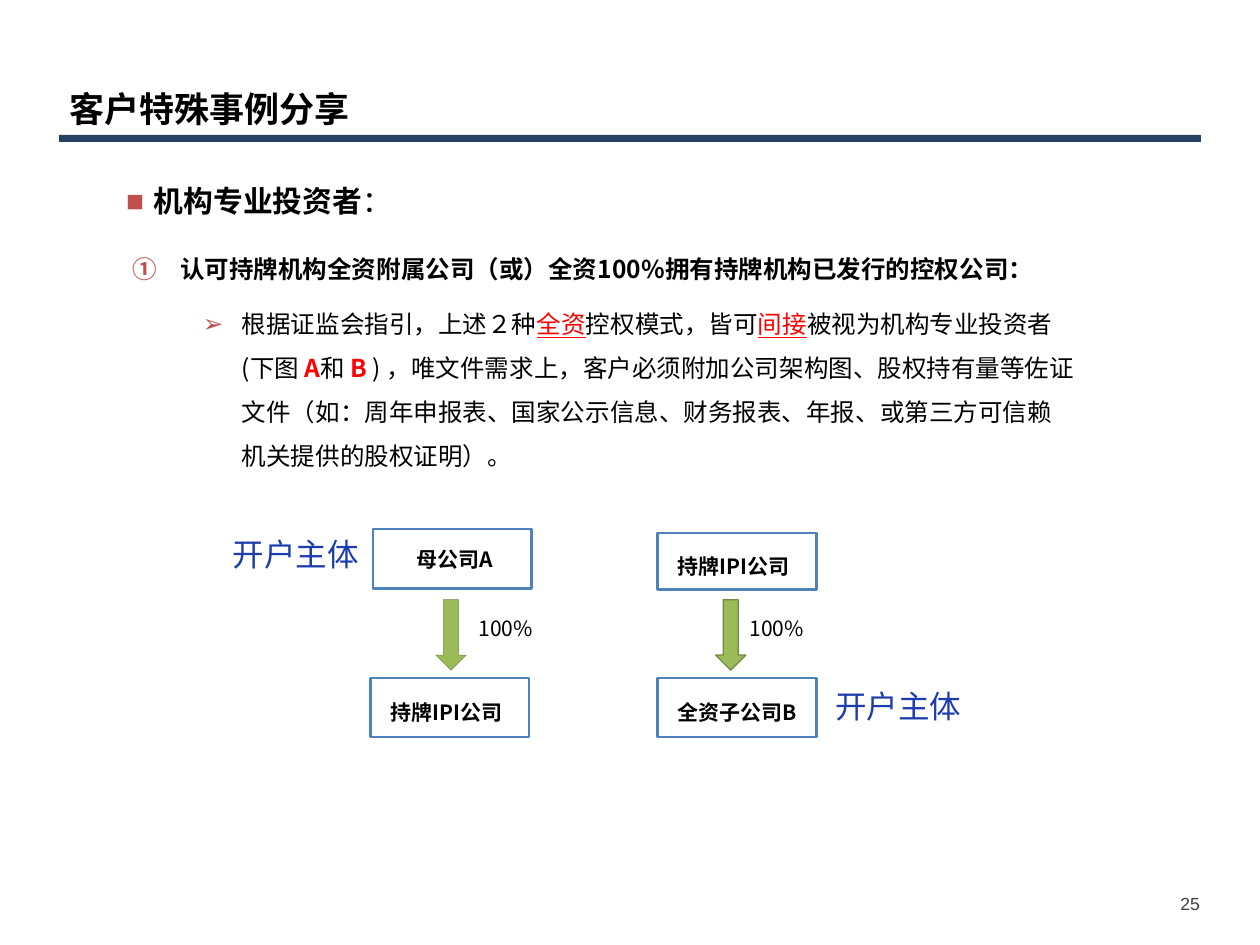
from dataclasses import dataclass

import pptx
import pptx.dml.color
import pptx.enum.shapes
import pptx.enum.text
import pptx.oxml
import pptx.oxml.ns
import pptx.util

Shapes = pptx.enum.shapes.MSO_SHAPE
Align = pptx.enum.text.PP_ALIGN
Anchor = pptx.enum.text.MSO_ANCHOR
COLUMNS, ROWS = 100, 75


@dataclass(frozen=True)
class Theme:
    latin: str = "Arial"
    asian: str = "Noto Sans CJK TC"
    text: str = "000000"
    white: str = "FFFFFF"
    rule: str = "254061"
    bullet: str = "C0504D"
    accent: str = "FF0000"
    frame: str = "4F81BD"
    arrow: str = "9BBB59"
    arrow_edge: str = "738A42"
    subject: str = "1D3CAD"
    number: str = "404040"
    title_size: float = 20
    heading_size: float = 17
    body_size: float = 14
    subject_size: float = 18
    box_size: float = 12
    number_size: float = 10


@dataclass(frozen=True)
class Area:
    left: float
    top: float
    width: float
    height: float


@dataclass(frozen=True)
class Span:
    text: str
    size: float
    color: str = "000000"
    bold: bool = False
    underline: bool = False
    font: str = "Noto Sans CJK TC"


@dataclass(frozen=True)
class Item:
    spans: list[Span]
    bullet: str
    margin: float
    hanging: float
    before: float
    level: int = 0


@dataclass(frozen=True)
class Company:
    name: str
    area: Area
    align: Align = Align.LEFT
    insets: tuple = (0.16, 0.12, 0.04, 0.05)


THEME = Theme()
deck = pptx.Presentation()
deck.slide_width = pptx.util.Inches(10)
deck.slide_height = pptx.util.Inches(7.5)
page = deck.slides.add_slide(deck.slide_layouts[1])


def bounds(area: Area) -> tuple:
    column, row = deck.slide_width / COLUMNS, deck.slide_height / ROWS
    return (round(area.left * column), round(area.top * row),
            round(area.width * column), round(area.height * row))


def rgb(color: str) -> pptx.dml.color.RGBColor:
    return pptx.dml.color.RGBColor.from_string(color)


def element(tag: str, **attributes: str):
    node = pptx.oxml.parse_xml(f"<a:{tag} {pptx.oxml.ns.nsdecls('a')}/>")
    for name, value in attributes.items():
        node.set(name, value)
    return node


def style(run, span: Span) -> None:
    run.font.size = pptx.util.Pt(span.size)
    run.font.bold = span.bold
    run.font.underline = span.underline
    run.font.color.rgb = rgb(span.color)
    run.font.name = span.font
    run.font._element.append(element("ea", typeface=THEME.asian))


def set_insets(frame, insets: tuple) -> None:
    (frame.margin_left, frame.margin_top,
     frame.margin_right, frame.margin_bottom) = map(pptx.util.Inches, insets)


def write(frame, span: Span, align: Align = Align.LEFT):
    para = frame.paragraphs[0]
    para.text = span.text
    para.alignment = align
    style(para.runs[0], span)
    return para


def place(shape, area: Area) -> None:
    shape.left, shape.top, shape.width, shape.height = bounds(area)


def draw_shape(kind: Shapes, area: Area, fill: str, line: str, width: float):
    shape = page.shapes.add_shape(kind, *bounds(area))
    shape.shadow.inherit = False
    shape.fill.solid()
    shape.fill.fore_color.rgb = rgb(fill)
    shape.line.color.rgb = rgb(line)
    shape.line.width = pptx.util.Pt(width)
    return shape


def draw_label(area: Area, span: Span, align: Align = Align.LEFT, wrap: bool = True) -> None:
    frame = page.shapes.add_textbox(*bounds(area)).text_frame
    frame.word_wrap = wrap
    write(frame, span, align)


def draw_company(company: Company) -> None:
    box = draw_shape(Shapes.RECTANGLE, company.area, THEME.white, THEME.frame, 1.5)
    frame = box.text_frame
    frame.word_wrap = True
    frame.vertical_anchor = Anchor.MIDDLE
    set_insets(frame, company.insets)
    write(frame, Span(company.name, THEME.box_size, bold=True), company.align)


def draw_title(text: str, area: Area) -> None:
    title = page.shapes.title
    place(title, area)
    frame = title.text_frame
    frame.auto_size = pptx.enum.text.MSO_AUTO_SIZE.NONE
    frame.vertical_anchor = Anchor.BOTTOM
    set_insets(frame, (0.07, 0.04, 0.02, 0.04))
    para = write(frame, Span(text, THEME.title_size, bold=True))
    para.space_after = pptx.util.Pt(3.6)


def draw_item(para, item: Item, first: bool) -> None:
    para.level = item.level
    para.line_spacing = 1.5
    para.space_before = pptx.util.Pt(0 if first else item.before)
    properties = para._p.get_or_add_pPr()
    properties.set("marL", str(pptx.util.Inches(item.margin)))
    properties.set("indent", str(-pptx.util.Inches(item.hanging)))
    color = element("buClr")
    color.append(element("srgbClr", val=THEME.bullet))
    properties.append(color)
    properties.append(element("buFont", typeface=THEME.latin))
    if len(item.bullet) == 1:
        properties.append(element("buChar", char=item.bullet))
    else:
        properties.append(element("buAutoNum", type=item.bullet))
    for span in item.spans:
        run = para.add_run()
        run.text = span.text
        style(run, span)


def draw_list(items: list[Item], area: Area) -> None:
    body = page.placeholders[1]
    place(body, area)
    frame = body.text_frame
    frame.auto_size = pptx.enum.text.MSO_AUTO_SIZE.NONE
    frame.vertical_anchor = Anchor.TOP
    set_insets(frame, (0.09, 0.04, 0.09, 0.04))
    for index, item in enumerate(items):
        para = frame.add_paragraph() if index else frame.paragraphs[0]
        draw_item(para, item, index == 0)


def main() -> None:
    size = THEME.body_size
    heading = [Span("机构专业投资者", THEME.heading_size, bold=True, font=THEME.latin),
               Span("：", THEME.heading_size, font=THEME.latin)]
    case = [Span("认可持牌机构全资附属公司（或）全资100%拥有持牌机构已发行的控权公司：", size, bold=True)]
    guidance = [
        Span("根据证监会指引，上述２种", size),
        Span("全资", size, THEME.accent, underline=True),
        Span("控权模式，皆可", size),
        Span("间接", size, THEME.accent, underline=True),
        Span("被视为机构专业投资者 (下图 ", size),
        Span("A", size, THEME.accent, bold=True),
        Span("和 ", size),
        Span("B ", size, THEME.accent, bold=True),
        Span(") ，唯文件需求上，客户必须附加公司架构图、股权持有量等佐证文件"
             "（如：周年申报表、国家公示信息、财务报表、年报、或第三方可信赖机关提供的股权证明）。", size),
    ]
    draw_shape(Shapes.RECTANGLE, Area(4.7, 10.7, 90.6, 0.5), THEME.rule, THEME.rule, 0.25)
    draw_title("客户特殊事例分享", Area(4.8, 3, 90.5, 7.7))
    draw_list([Item(heading, "■", 0.22, 0.22, 6),
               Item(case, "circleNumDbPlain", 0.43, 0.38, 12),
               Item(guidance, "➢", 0.92, 0.31, 6, level=2)],
              Area(9.1, 12.7, 77.2, 52))

    for company in (
        Company("母公司A", Area(29.6, 42, 12.6, 4.7), Align.CENTER, (0.14, 0.05, 0.1, 0.05)),
        Company("持牌IPI公司", Area(29.4, 53.8, 12.6, 4.7)),
        Company("持牌IPI公司", Area(52.2, 42.3, 12.6, 4.5)),
        Company("全资子公司B", Area(52.2, 53.8, 12.6, 4.7)),
    ):
        draw_company(company)
    for arrow_left, edge, label_left in ((34.6, 0.25, 37), (56.8, 0.75, 58.5)):
        draw_shape(Shapes.DOWN_ARROW, Area(arrow_left, 47.6, 2.4, 5.6),
                   THEME.arrow, THEME.arrow_edge, edge)
        draw_label(Area(label_left, 48.4, 7, 3), Span("100%", THEME.box_size))
    subject = Span("开户主体", THEME.subject_size, THEME.subject, font=THEME.latin)
    for left, top in ((17.5, 42), (65.3, 54)):
        draw_label(Area(left, top, 12.1, 4), subject, wrap=False)
    draw_label(Area(88, 70.4, 8.2, 2.7),
               Span("25", THEME.number_size, THEME.number, font=THEME.latin), Align.RIGHT)
    deck.save("out.pptx")


if __name__ == "__main__":
    main()
